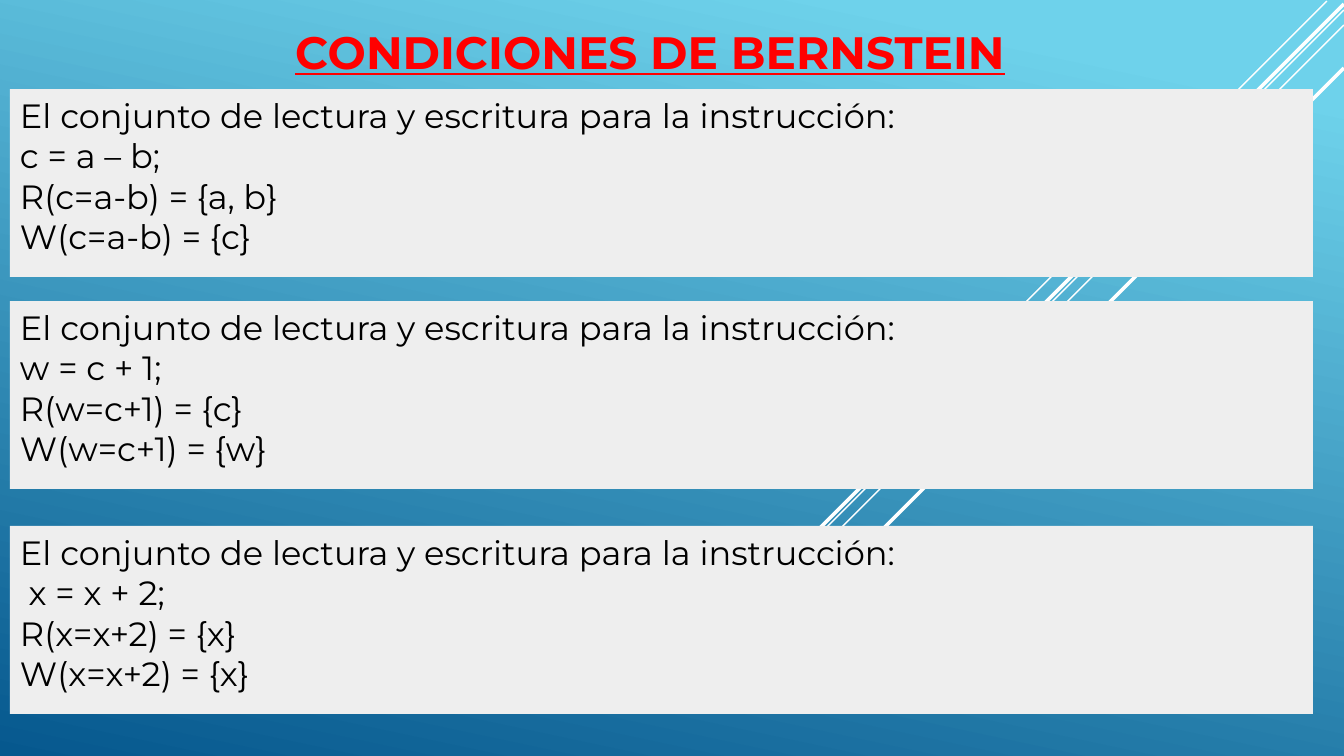
from lxml.etree import SubElement
from pptx import Presentation
from pptx.dml.color import RGBColor
from pptx.enum.shapes import MSO_CONNECTOR, MSO_SHAPE
from pptx.enum.text import MSO_ANCHOR, MSO_AUTO_SIZE, PP_ALIGN
from pptx.oxml.ns import qn
from pptx.util import Pt

EMU_PER_PX = 12192000 / 1344


def px(n):
    return round(n * EMU_PER_PX)


def rgb(value):
    return RGBColor.from_string(value)


class Deck:
    font = "Montserrat"
    ink = "000000"
    panel_fill = "EEEEEE"
    accent = "FF0000"
    stripe_color = "FFFFFF"

    def __init__(self, width, height):
        self.prs = Presentation()
        self.prs.slide_width, self.prs.slide_height = px(width), px(height)
        self.s = self.prs.slides.add_slide(self.prs.slide_layouts[6])

    def background(self, stops, angle):
        fill = self.s.background.fill
        fill.gradient()
        fill.gradient_angle = 360 - angle
        for stop, (position, color) in zip(fill.gradient_stops, stops):
            stop.position = position
            stop.color.rgb = rgb(color)

    def stripe(self, x, y, run, weight):
        line = self.s.shapes.add_connector(
            MSO_CONNECTOR.STRAIGHT, px(x), px(y), px(x - run), px(y + run))
        line.line.color.rgb = rgb(self.stripe_color)
        line.line.width = Pt(weight)
        SubElement(line._element.spPr, qn("a:effectLst"))

    def set_text(self, tf, lines, size, color, align, bold=None, underline=None):
        tf.word_wrap = True
        tf.text = "\n".join(lines)
        for p in tf.paragraphs:
            p.alignment = align
            for r in p.runs:
                r.font.name = self.font
                r.font.size = Pt(size)
                r.font.bold = bold
                r.font.underline = underline
                r.font.color.rgb = rgb(color)

    def title(self, text, x, y, w, h):
        sp = self.s.shapes.add_textbox(px(x), px(y), px(w), px(h))
        self.set_text(sp.text_frame, [text], 32.4, self.accent,
                      PP_ALIGN.CENTER, bold=True, underline=True)

    def panel(self, lines, x, y, w, h, align):
        sp = self.s.shapes.add_shape(
            MSO_SHAPE.RECTANGLE, px(x), px(y), px(w), px(h))
        sp.shadow.inherit = False
        sp.fill.solid()
        sp.fill.fore_color.rgb = rgb(self.panel_fill)
        sp.line.fill.background()
        tf = sp.text_frame
        tf.margin_left = tf.margin_right = px(10)
        tf.margin_top, tf.margin_bottom = px(5), px(20)
        tf.vertical_anchor = MSO_ANCHOR.MIDDLE
        tf.auto_size = MSO_AUTO_SIZE.SHAPE_TO_FIT_TEXT
        self.set_text(tf, lines, 24, self.ink, align)


STRIPES = [
    (1327, 1, 420, 1),
    (1344, 10, 671, 1),
    (1344, 25, 547, 1),
    (1344, 4, 535, 2.5),
    (1344, 68, 479, 2.5),
]

INSTRUCTIONS = [
    (89, "c = a – b;", "c=a-b", "a, b", "c", PP_ALIGN.JUSTIFY),
    (301, "w = c + 1;", "w=c+1", "c", "w", PP_ALIGN.LEFT),
    (526, " x = x + 2;", "x=x+2", "x", "x", PP_ALIGN.LEFT),
]


def main():
    deck = Deck(1344, 756)
    deck.background([(0.1, "6ED2EB"), (1, "06588E")], 102)
    for stripe in STRIPES:
        deck.stripe(*stripe)
    deck.title("CONDICIONES DE BERNSTEIN", 226, 19, 848, 65)
    for top, instruction, short, reads, writes, align in INSTRUCTIONS:
        lines = [
            "El conjunto de lectura y escritura para la instrucción:",
            instruction,
            f"R({short}) = {{{reads}}}",
            f"W({short}) = {{{writes}}}",
        ]
        deck.panel(lines, 10, top, 1303, 188, align)
    deck.prs.save("out.pptx")


if __name__ == "__main__":
    main()
